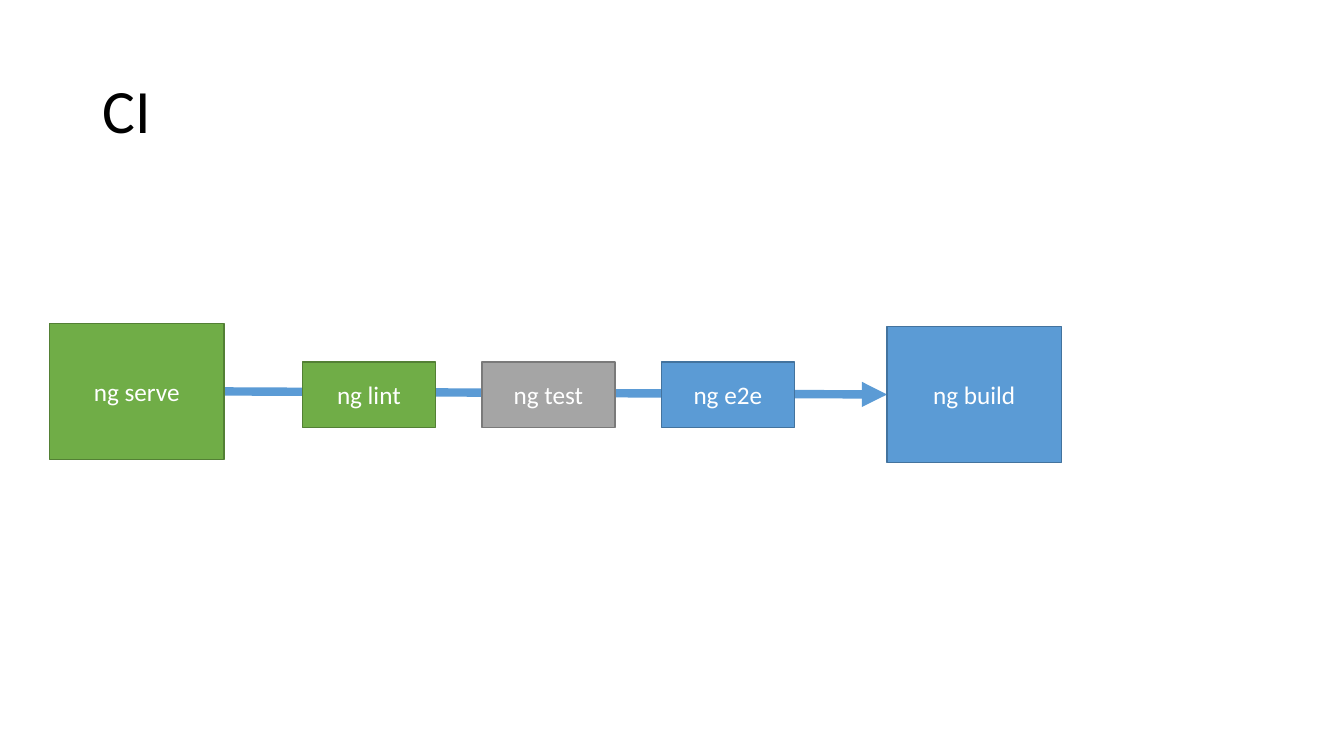
from dataclasses import dataclass

from lxml import etree
from pptx import Presentation
from pptx import util as u
from pptx.dml.color import RGBColor
from pptx.enum import shapes, text
from pptx.oxml import ns
from pptx.shapes.autoshape import Shape
from pptx.shapes.connector import Connector
from pptx.slide import Slide
from pptx.text.text import _Paragraph as Paragraph

FONT = "Calibri"
COLOURS = {
    "title": "000000",
    "label": "FFFFFF",
    "arrow": "5B9BD5",
    "green": "70AD47",
    "green_edge": "538035",
    "grey": "A5A5A5",
    "grey_edge": "7A7A7A",
    "blue": "5B9BD5",
    "blue_edge": "43739E",
}
STAGE_SIZE = (124.6, 97.2)
CHECK_SIZE = (95, 46.8)
CHECK_LEFT, CHECK_TOP, CHECK_PITCH = 216, 258.5, 128.2
RIGHT_SITE, LEFT_SITE = 3, 1


@dataclass(frozen=True)
class Step:
    """One box of the pipeline, with lengths in points."""

    label: str
    colour: str
    left: float
    top: float
    size: tuple[float, float]


def rgb(name: str) -> RGBColor:
    """Look up a named colour."""
    return RGBColor.from_string(COLOURS[name])


def add_run(paragraph: Paragraph, words: str, size: float, colour: str) -> None:
    """Append a formatted run to a paragraph."""
    run = paragraph.add_run()
    run.text = words
    run.font.name = FONT
    run.font.size = u.Pt(size)
    run.font.color.rgb = rgb(colour)


def set_title(slide: Slide, words: str) -> None:
    """Place and fill the title placeholder."""
    title = slide.shapes.title
    title.left, title.top = u.Pt(66), u.Pt(28.8)
    title.width, title.height = u.Pt(828), u.Pt(104.4)
    frame = title.text_frame
    frame.auto_size = text.MSO_AUTO_SIZE.NONE
    frame.vertical_anchor = text.MSO_ANCHOR.MIDDLE
    paragraph = frame.paragraphs[0]
    paragraph.alignment = text.PP_ALIGN.LEFT
    paragraph.line_spacing = 0.9
    add_run(paragraph, words, 44, "title")


def add_arrow(slide: Slide) -> Connector:
    """Add the thick pipeline arrow; its ends are glued later."""
    arrow = slide.shapes.add_connector(shapes.MSO_CONNECTOR.STRAIGHT, 0, 0, 0, 0)
    arrow.line.color.rgb = rgb("arrow")
    arrow.line.width = u.Pt(6)
    line = arrow.line._get_or_add_ln()
    etree.SubElement(line, ns.qn("a:tailEnd"), type="triangle")
    etree.SubElement(arrow._element.spPr, ns.qn("a:effectLst"))
    return arrow


def add_step(slide: Slide, step: Step) -> Shape:
    """Draw one labelled box."""
    width, height = step.size
    box = slide.shapes.add_shape(
        shapes.MSO_SHAPE.RECTANGLE,
        u.Pt(step.left), u.Pt(step.top), u.Pt(width), u.Pt(height),
    )
    box.shadow.inherit = False
    box.fill.solid()
    box.fill.fore_color.rgb = rgb(step.colour)
    box.line.color.rgb = rgb(f"{step.colour}_edge")
    box.line.width = u.Pt(1)
    box.text_frame.vertical_anchor = text.MSO_ANCHOR.MIDDLE
    paragraph = box.text_frame.paragraphs[0]
    paragraph.alignment = text.PP_ALIGN.CENTER
    add_run(paragraph, step.label, 18, "label")
    return box


CHECKS = [("ng lint", "green"), ("ng test", "grey"), ("ng e2e", "blue")]
STEPS = [
    Step("ng serve", "green", 35.4, 231, STAGE_SIZE),
    *(
        Step(label, colour, CHECK_LEFT + i * CHECK_PITCH, CHECK_TOP, CHECK_SIZE)
        for i, (label, colour) in enumerate(CHECKS)
    ),
    Step("ng build", "blue", 633.6, 233.2, STAGE_SIZE),
]

presentation = Presentation()
presentation.slide_width, presentation.slide_height = u.Pt(960), u.Pt(540)
slide = presentation.slides.add_slide(presentation.slide_layouts.get_by_name("Title Only"))

set_title(slide, "CI")
arrow = add_arrow(slide)
boxes = [add_step(slide, step) for step in STEPS]
arrow.begin_connect(boxes[0], RIGHT_SITE)
arrow.end_connect(boxes[-1], LEFT_SITE)

presentation.save("out.pptx")
